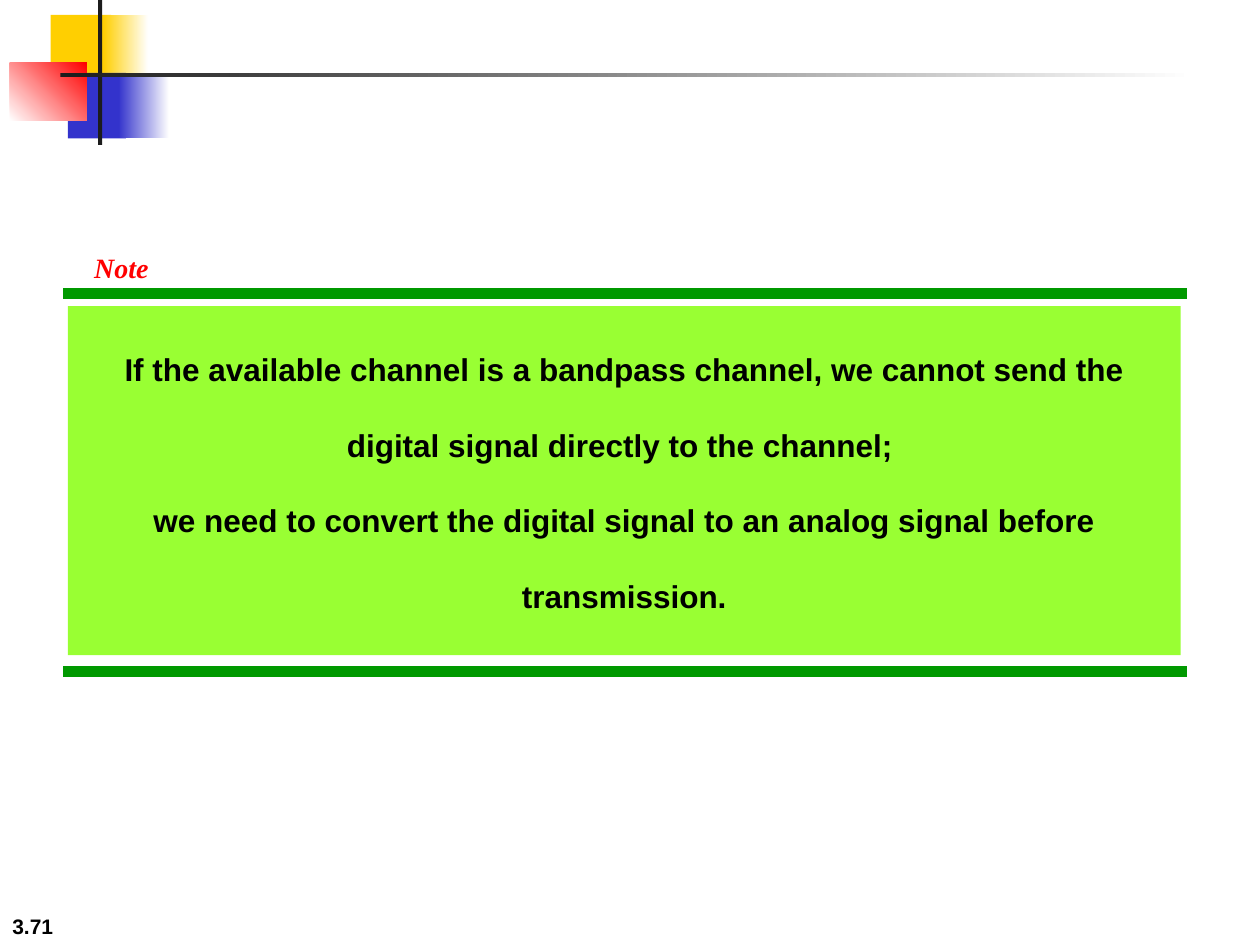
from lxml import etree
from pptx import Presentation
from pptx import util as u
from pptx.dml.color import RGBColor
from pptx.enum import shapes, text
from pptx.oxml.ns import qn

Cm, Pt = u.Cm, u.Pt

COLOURS = {
    "yellow": "FFCF01",
    "blue": "3333CC",
    "red": "FF0000",
    "dark": "1C1C1C",
    "white": "FFFFFF",
    "black": "000000",
    "rule": "009900",
    "panel": "99FF33",
}


def colour(name):
    return RGBColor.from_string(COLOURS[name])


def add_block(slide, left, top, width, height, start, end=None, angle=0):
    """Rectangle in one colour, or fading from start to end."""
    shape = slide.shapes.add_shape(
        shapes.MSO_SHAPE.RECTANGLE, Cm(left), Cm(top), Cm(width), Cm(height))
    shape.shadow.inherit = False
    shape.line.fill.background()
    if end is None:
        shape.fill.solid()
        shape.fill.fore_color.rgb = colour(start)
    else:
        shape.fill.gradient()
        shape.fill.gradient_angle = angle
        for stop, name in zip(shape.fill.gradient_stops, (start, end)):
            stop.color.rgb = colour(name)
    return shape


def add_rule(slide, left, right, y):
    line = slide.shapes.add_connector(
        shapes.MSO_CONNECTOR.STRAIGHT, Cm(left), Cm(y), Cm(right), Cm(y))
    line.line.color.rgb = colour("rule")
    line.line.width = Pt(6)
    etree.SubElement(line._element.spPr, qn("a:effectLst"))


def write(shape, lines, size, font="Arial", ink="black", italic=False,
          align=text.PP_ALIGN.LEFT, anchor=text.MSO_ANCHOR.TOP,
          spacing=1.0, wrap=True):
    """Fill the shape with one bold paragraph, broken between lines."""
    frame = shape.text_frame
    frame.word_wrap = wrap
    frame.vertical_anchor = anchor
    paragraph = frame.paragraphs[0]
    paragraph.alignment = align
    paragraph.line_spacing = spacing
    for index, line in enumerate(lines):
        if index:
            paragraph.add_line_break()
        run = paragraph.add_run()
        run.text = line
        run.font.name = font
        run.font.size = Pt(size)
        run.font.bold = True
        run.font.italic = italic
        run.font.color.rgb = colour(ink)


def add_label(slide, left, top, width, height, words, size, **style):
    box = slide.shapes.add_textbox(Cm(left), Cm(top), Cm(width), Cm(height))
    write(box, [words], size, **style)


def add_ornament(slide):
    add_block(slide, 1.02, 0.3, 1.22, 1.32, "yellow")
    add_block(slide, 2.08, 0.3, 0.91, 1.32, "yellow", "white")
    add_block(slide, 1.37, 1.47, 1.17, 1.32, "blue")
    add_block(slide, 2.39, 1.47, 1.02, 1.32, "blue", "white")
    add_block(slide, 0.2, 1.27, 1.55, 1.17, "white", "red", angle=45)
    add_block(slide, 1.98, 0, 0.08, 2.92, "dark")
    add_block(slide, 1.22, 1.47, 22.86, 0.08, "dark", "white")


def main():
    presentation = Presentation()
    presentation.slide_width, presentation.slide_height = Cm(25.4), Cm(19.05)
    slide = presentation.slides.add_slide(presentation.slide_layouts[6])

    # Page number and corner ornament
    add_label(slide, 0, 17.78, 5.28, 1.27, "3.71", 12,
              anchor=text.MSO_ANCHOR.BOTTOM)
    add_ornament(slide)

    # Note panel between two rules
    for y in (5.92, 13.54):
        add_rule(slide, 1.27, 23.93, y)
    panel = add_block(slide, 1.37, 6.17, 22.43, 7.04, "panel")
    write(panel, [
        "If the available channel is a bandpass channel, we cannot send the "
        "digital signal directly to the channel; ",
        "we need to convert the digital signal to an analog signal before "
        "transmission.",
    ], 18, align=text.PP_ALIGN.CENTER, spacing=2.0)
    add_label(slide, 1.65, 4.24, 2.44, 1.45, "Note", 16,
              font="Times New Roman", ink="red", italic=True,
              spacing=2.0, wrap=False)

    presentation.save("out.pptx")


if __name__ == "__main__":
    main()
